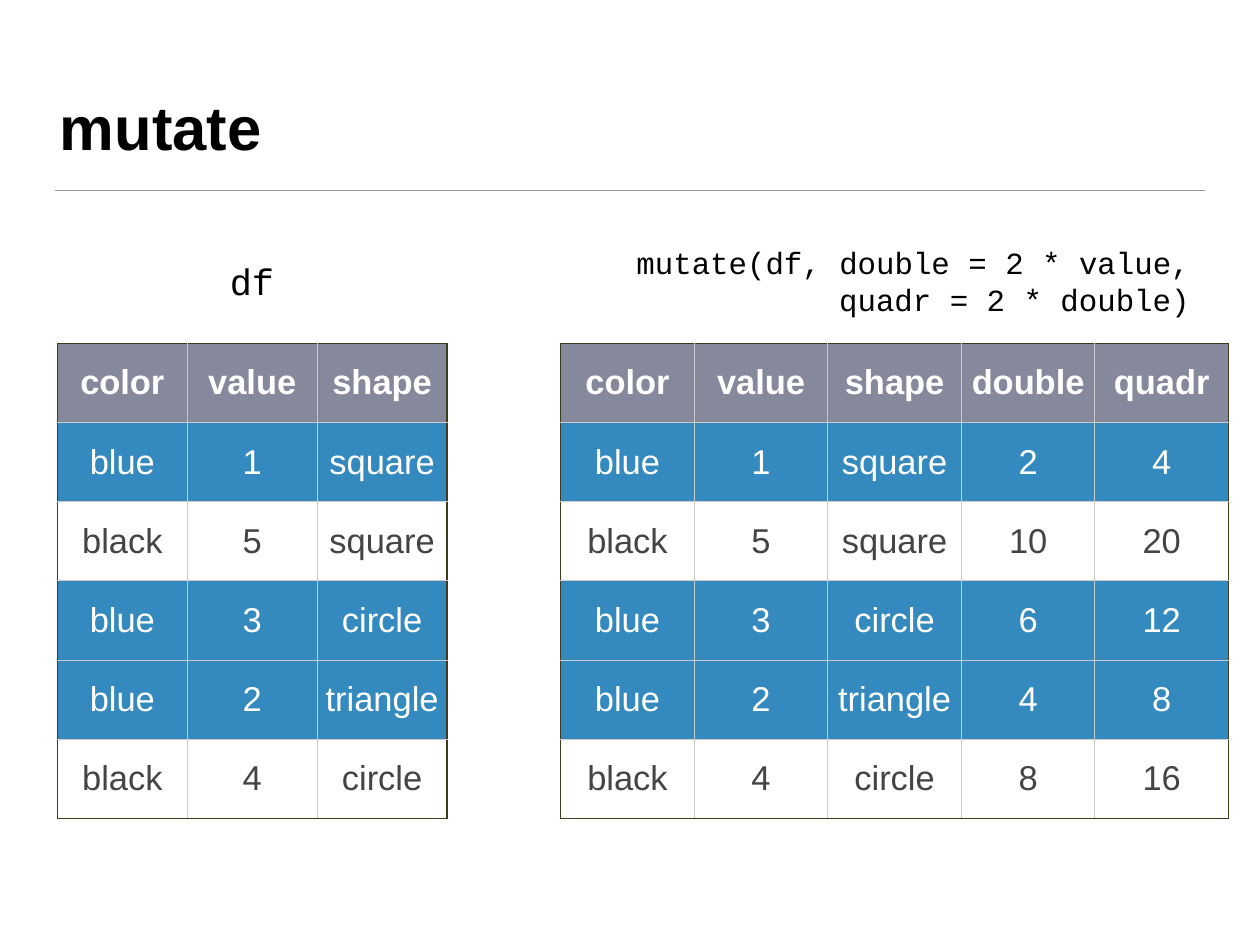
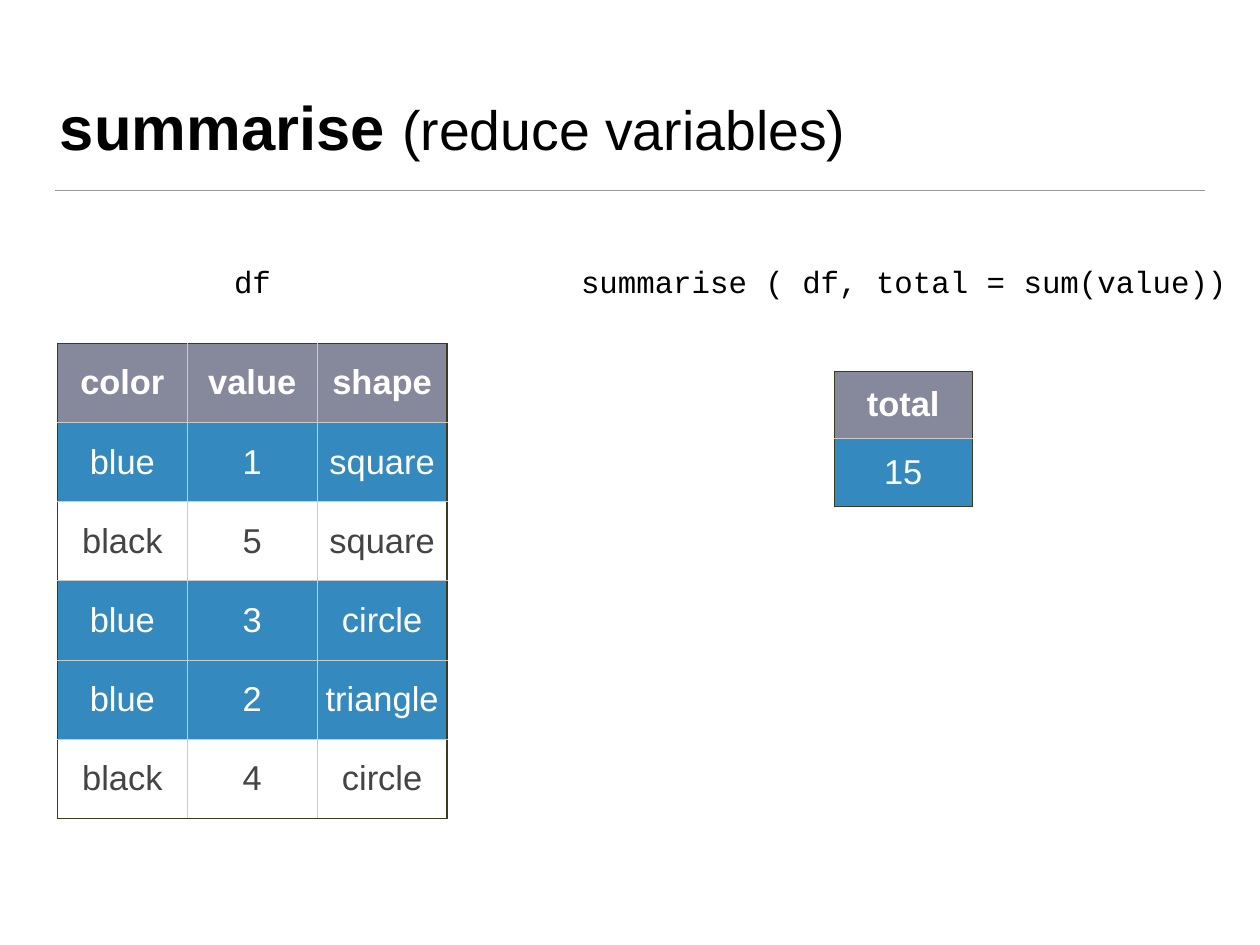
from lxml.etree import SubElement
from pptx import Presentation
from pptx.dml.color import RGBColor
from pptx.enum.shapes import MSO_CONNECTOR
from pptx.enum.text import MSO_ANCHOR, MSO_AUTO_SIZE, PP_ALIGN
from pptx.oxml.ns import qn
from pptx.util import Pt

BLACK, WHITE, GREY_TEXT = "000000", "FFFFFF", "444444"
HEADER, BLUE = "86899C", "3489BE"
OUTLINE, GRID, RULE = "3C3C1D", "CBCBCB", "9A9A9A"
INSET = Pt(4)

presentation = Presentation()
presentation.slide_width = Pt(1024)
presentation.slide_height = Pt(768)
column = presentation.slide_width / 100
row = presentation.slide_height / 100


def color(hex_string):
    return RGBColor.from_string(hex_string)


def add_data_table(slide, left, top, column_width, row_height, records):
    row_count, column_count = len(records), len(records[0])
    table = slide.shapes.add_table(
        row_count, column_count, int(left * column), int(top * row),
        int(column_count * column_width * column), int(row_count * row_height * row)).table
    table.horz_banding = False
    for table_column in table.columns:
        table_column.width = int(column_width * column)
    for row_index, record in enumerate(records):
        table.rows[row_index].height = int(row_height * row)
        is_header = row_index == 0
        is_black = record[0] == "black"
        for column_index, value in enumerate(record):
            cell = table.cell(row_index, column_index)
            cell.margin_left = cell.margin_right = INSET
            cell.margin_top = cell.margin_bottom = INSET
            cell.vertical_anchor = MSO_ANCHOR.MIDDLE
            on_outline = {
                "a:lnL": column_index == 0,
                "a:lnR": column_index == column_count - 1,
                "a:lnT": row_index == 0,
                "a:lnB": row_index == row_count - 1,
            }
            properties = cell._tc.get_or_add_tcPr()
            for side, outer in on_outline.items():
                border = SubElement(properties, qn(side), w=str(Pt(1)))
                fill = SubElement(border, qn("a:solidFill"))
                SubElement(fill, qn("a:srgbClr"), val=OUTLINE if outer else GRID)
            if is_black:
                cell.fill.background()
            else:
                cell.fill.solid()
                cell.fill.fore_color.rgb = color(HEADER if is_header else BLUE)
            cell.text = str(value)
            paragraph = cell.text_frame.paragraphs[0]
            paragraph.alignment = PP_ALIGN.CENTER
            paragraph.font.name = "Arial"
            paragraph.font.size = Pt(28)
            paragraph.font.bold = is_header
            paragraph.font.color.rgb = color(GREY_TEXT if is_black else WHITE)


header = ["color", "value", "shape"]
records = [
    ["blue", 1, "square"],
    ["black", 5, "square"],
    ["blue", 3, "circle"],
    ["blue", 2, "triangle"],
    ["black", 4, "circle"],
]
data_frame = [header, *records]
mutated = [header + ["double", "quadr"]]
mutated += [record + [2 * record[1], 4 * record[1]] for record in records]
total = [["total"], [sum(record[1] for record in records)]]

slides = [
    {
        "title": [("mutate", 50, True)],
        "labels": [
            ("mutate(df, double = 2 * value,\nquadr = 2 * double)", 25, PP_ALIGN.RIGHT,
             (49.08, 25.03, 45.7, 9.38)),
            ("df", 30, PP_ALIGN.CENTER, (17.68, 26.72, 4.64, 6.09)),
        ],
        "result": (44.5, 36.33, 10.6, 8.38, mutated),
    },
    {
        "title": [("summarise ", 50, True), ("(reduce variables)", 45, False)],
        "labels": [
            ("summarise ( df, total = sum(value))", 25, PP_ALIGN.CENTER,
             (45.35, 27.19, 52.73, 5.06)),
            ("df", 25, PP_ALIGN.CENTER, (17.93, 27.19, 4.22, 5.06)),
        ],
        "result": (66.2, 39.28, 10.97, 7.14, total),
    },
]

for content in slides:
    slide = presentation.slides.add_slide(presentation.slide_layouts[5])

    rule = slide.shapes.add_connector(
        MSO_CONNECTOR.STRAIGHT, int(4.36 * column), int(20.16 * row),
        int(95.64 * column), int(20.16 * row))
    rule.line.color.rgb = color(RULE)
    rule.line.width = Pt(1)
    SubElement(rule._element.spPr, qn("a:effectLst"))

    title = slide.shapes.title
    title.left, title.top = int(4.36 * column), int(3.37 * row)
    title.width, title.height = int(91.2 * column), int(14.34 * row)
    frame = title.text_frame
    frame.auto_size = MSO_AUTO_SIZE.NONE
    frame.vertical_anchor = MSO_ANCHOR.BOTTOM
    frame.margin_left = frame.margin_right = INSET
    frame.margin_top = frame.margin_bottom = INSET
    paragraph = frame.paragraphs[0]
    paragraph.alignment = PP_ALIGN.LEFT
    paragraph.font.name = "Arial"
    paragraph.font.color.rgb = color(BLACK)
    for text, size, bold in content["title"]:
        run = paragraph.add_run()
        run.text = text
        run.font.size = Pt(size)
        run.font.bold = bold

    for text, size, alignment, (left, top, width, height) in content["labels"]:
        label = slide.shapes.add_textbox(
            int(left * column), int(top * row), int(width * column), int(height * row))
        frame = label.text_frame
        frame.word_wrap = True
        frame.vertical_anchor = MSO_ANCHOR.MIDDLE
        frame.margin_left = frame.margin_right = INSET
        frame.margin_top = frame.margin_bottom = INSET
        frame.text = text
        for paragraph in frame.paragraphs:
            paragraph.alignment = alignment
            paragraph.font.name = "Courier New"
            paragraph.font.size = Pt(size)
            paragraph.font.color.rgb = color(BLACK)

    add_data_table(slide, 4.55, 36.33, 10.31, 8.38, data_frame)
    add_data_table(slide, *content["result"])

presentation.save("out.pptx")
